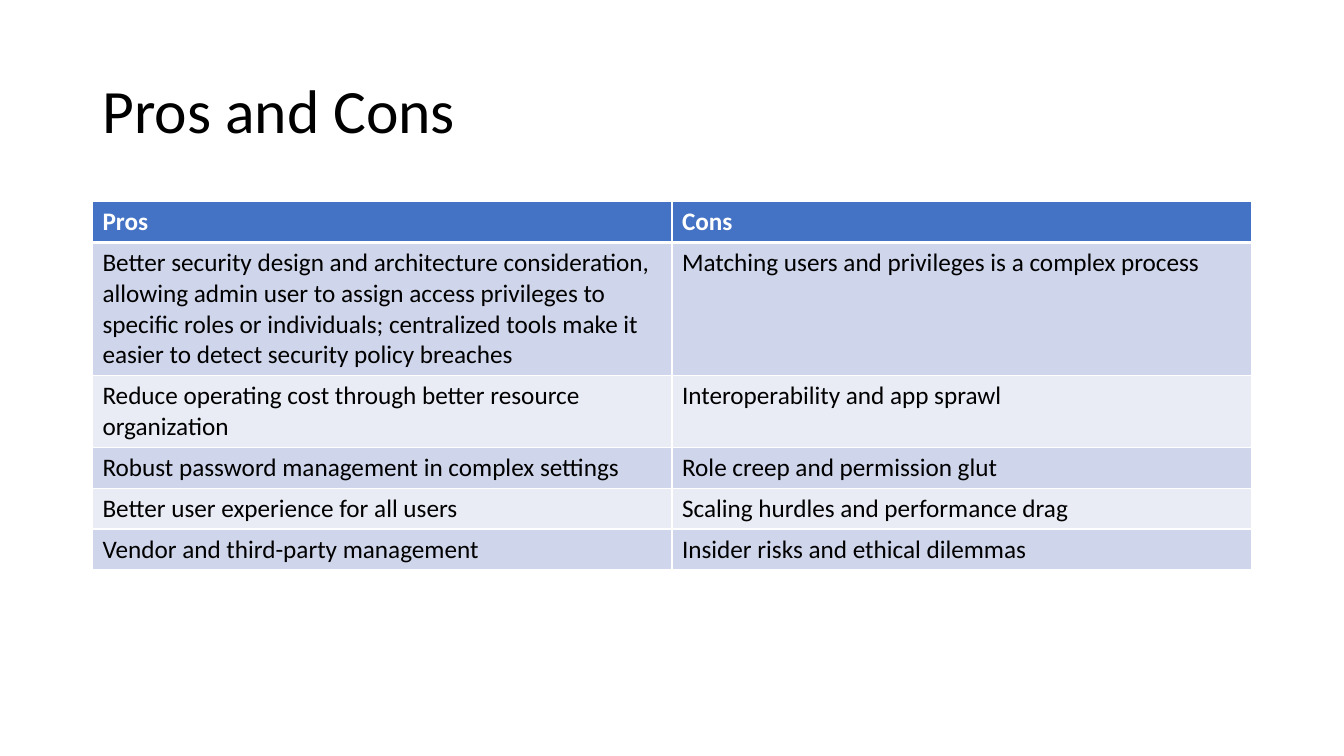
import dataclasses

import lxml.etree
import pptx
import pptx.dml.color
import pptx.enum.text
import pptx.oxml.ns
import pptx.util

Cm = pptx.util.Cm
Pt = pptx.util.Pt
FONT = "Calibri"
LEFT, WIDTH = 2.33, 29.21
LINE, EXTRA = 1.03, 0.77


@dataclasses.dataclass(frozen=True)
class Row:
    pro: str
    con: str
    lines: int = 1


ROWS = [
    Row("Pros", "Cons"),
    Row(
        "Better security design and architecture consideration, allowing admin user "
        "to assign access privileges to specific roles or individuals; centralized "
        "tools make it easier to detect security policy breaches",
        "Matching users and privileges is a complex process",
        4,
    ),
    Row("Reduce operating cost through better resource organization",
        "Interoperability and app sprawl", 2),
    Row("Robust password management in complex settings",
        "Role creep and permission glut"),
    Row("Better user experience for all users",
        "Scaling hurdles and performance drag"),
    Row("Vendor and third-party management",
        "Insider risks and ethical dilemmas"),
]


def color(code: str) -> pptx.dml.color.RGBColor:
    return pptx.dml.color.RGBColor.from_string(code)


def write(frame, text: str, size: int, code: str, bold: bool = False) -> None:
    run = frame.paragraphs[0].add_run()
    run.text = text
    run.font.name = FONT
    run.font.size = Pt(size)
    run.font.bold = bold
    run.font.color.rgb = color(code)


def edge(cell, tops: float, base: float) -> None:
    props = cell._tc.get_or_add_tcPr()
    tag = pptx.oxml.ns.qn
    sides = [("a:lnL", 1), ("a:lnR", 1), ("a:lnT", tops), ("a:lnB", base)]
    for spot, (side, width) in enumerate(sides):
        line = lxml.etree.Element(tag(side), w=str(Pt(width)))
        fill = lxml.etree.SubElement(line, tag("a:solidFill"))
        lxml.etree.SubElement(fill, tag("a:srgbClr"), val="FFFFFF")
        props.insert(spot, line)


def draw_title(slide) -> None:
    title = slide.shapes.title
    title.left, title.top = Cm(LEFT), Cm(1.01)
    title.width, title.height = Cm(WIDTH), Cm(3.68)
    frame = title.text_frame
    frame.vertical_anchor = pptx.enum.text.MSO_ANCHOR.MIDDLE
    frame.paragraphs[0].alignment = pptx.enum.text.PP_ALIGN.LEFT
    frame.paragraphs[0].line_spacing = 0.9
    write(frame, "Pros and Cons", 44, "000000")


def draw_table(slide, rows: list[Row]) -> None:
    highs = [Cm(LINE + EXTRA * (row.lines - 1)) for row in rows]
    table = slide.shapes.add_table(
        len(rows), 2, Cm(LEFT), Cm(5.08), Cm(WIDTH), sum(highs)
    ).table
    for spot, row in enumerate(rows):
        table.rows[spot].height = highs[spot]
        head = spot == 0
        shade = "4472C4" if head else ("CFD5EA" if spot % 2 else "E9EBF5")
        for cell, text in zip(table.rows[spot].cells, (row.pro, row.con)):
            cell.fill.solid()
            cell.fill.fore_color.rgb = color(shade)
            edge(cell, 3 if spot == 1 else 1, 3 if head else 1)
            write(cell.text_frame, text, 18, "FFFFFF" if head else "000000", head)


def main() -> None:
    deck = pptx.Presentation()
    deck.slide_width, deck.slide_height = Cm(33.87), Cm(19.05)
    slide = deck.slides.add_slide(deck.slide_layouts[5])
    draw_title(slide)
    draw_table(slide, ROWS)
    deck.save("out.pptx")


if __name__ == "__main__":
    main()
